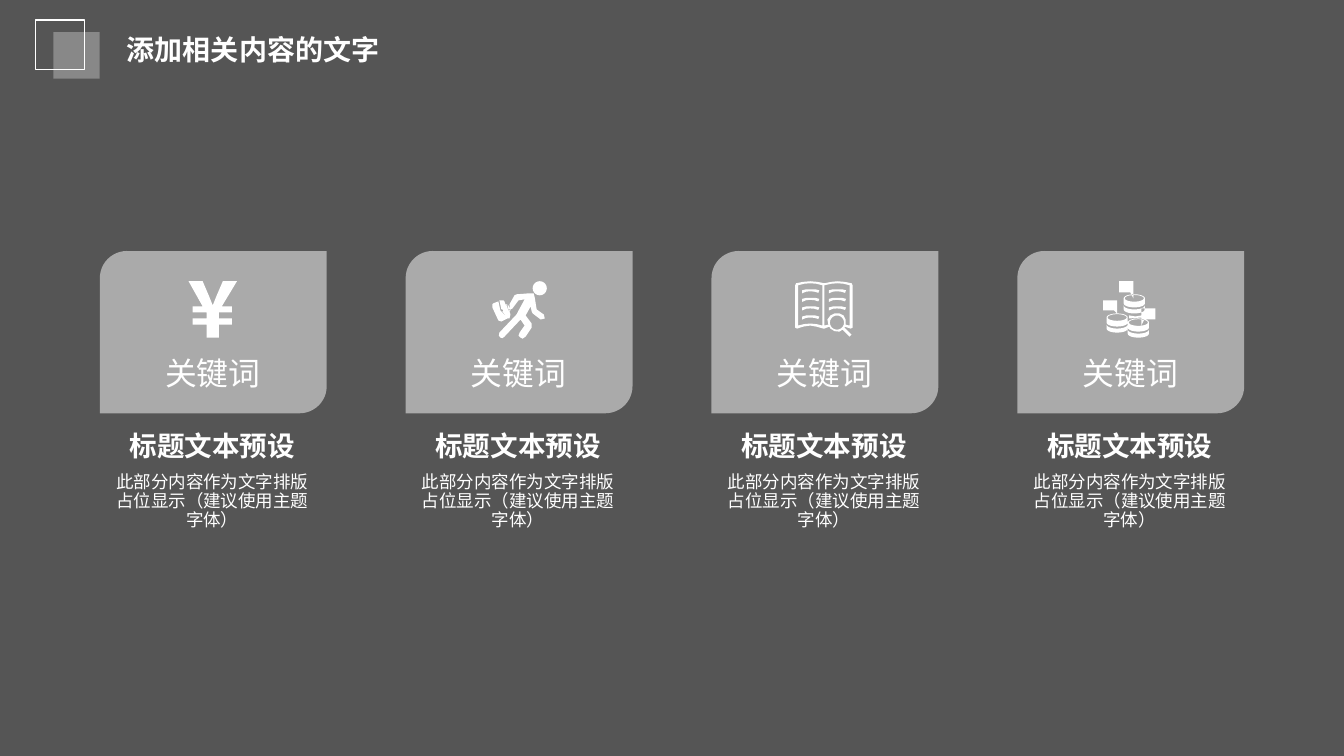
"""Build a slide with four keyword cards, each with an icon, a heading and a short text."""
from math import cos, pi, sin

from lxml.etree import SubElement
from pptx import Presentation
from pptx.dml.color import RGBColor
from pptx.enum.shapes import MSO_SHAPE
from pptx.enum.text import PP_ALIGN
from pptx.oxml.ns import qn
from pptx.util import Inches, Pt

TITLE = "添加相关内容的文字"
CARDS = [
    (icon, "关键词", "标题文本预设", "此部分内容作为文字排版占位显示（建议使用主题字体）")
    for icon in ("yen", "runner", "book", "coins")
]
COLOURS = {"veil": "0D0D0D", "white": "FFFFFF"}
FONT = "Noto Sans CJK SC"

WIDTH, HEIGHT = 13.33, 7.5
MARGIN = 0.99
CARD_WIDTH, CARD_HEIGHT, CARD_TOP = 2.25, 1.61, 2.49
PITCH = (WIDTH - 2 * MARGIN - CARD_WIDTH) / (len(CARDS) - 1)
TEXT_WIDTH = 2.23
ICON_TOP = 2.79

TITLE_FORMAT = {"size": Pt(20), "bold": True}
KEYWORD_FORMAT = {"size": Pt(22.7), "bold": False}
HEADING_FORMAT = {"size": Pt(19.7), "bold": True}
BODY_FORMAT = {"size": Pt(12.5), "bold": False}


def arc(centre_x, centre_y, radius_x, radius_y, start=0.0, sweep=2 * pi, steps=24):
    """Return points along an elliptical arc."""
    angles = [start + sweep * step / steps for step in range(steps + 1)]
    return [(centre_x + radius_x * cos(a), centre_y + radius_y * sin(a)) for a in angles]


def box_outline(left, top, right, bottom):
    """Return the corners of a rectangle."""
    return [(left, top), (right, top), (right, bottom), (left, bottom)]


def coin_stack(centre, top):
    """Return the outlines of a coin with a hollow face and a second coin below it."""
    rim = top + 4
    return [
        arc(centre, rim, 10.5, 4, pi, pi) + arc(centre, rim + 5, 10.5, 4, 0, pi),
        arc(centre, rim, 9.5, 3.3),
        arc(centre, rim + 7, 10.5, 4, pi, -pi) + arc(centre, rim + 11, 10.5, 4, 0, pi),
    ]


def text_line(left, top):
    """Return one curved line of print on a book page."""
    stroke = [(0, 1), (4, 0), (8, 0), (13, 0), (17, 1), (16, 3.5), (12, 2.3), (8, 2), (4, 2.3), (0, 4)]
    return [(left + x, top + y) for x, y in stroke]


YEN = [[
    (33, 25), (43, 25), (43, 31), (30, 31), (30, 37), (43, 37), (43, 43), (30, 43), (30, 56),
    (18, 56), (18, 43), (4, 43), (4, 37), (18, 37), (18, 31), (4, 31), (4, 25), (14, 25),
    (0, 0), (14, 0), (20, 14), (24, 24), (28, 14), (34, 0), (48, 0),
]]
RUNNER = [
    [(6, 20), (8, 29), (9, 30), (15, 37), (9, 40), (6, 39), (0, 26), (0, 23), (1, 22)],
    [(11, 19), (12, 20), (13, 23), (15, 23), (14, 24), (16, 29), (17, 29), (18, 28), (18, 29),
     (17, 30), (18, 33), (17, 37), (15, 37), (10, 30), (11, 29), (10, 28), (9, 28), (7, 19), (8, 19)],
    [(16, 24), (18, 28), (16, 28), (15, 24)],
    [(37, 12), (41, 12), (42, 16), (44, 28), (51, 33), (52, 37), (48, 38), (40, 32), (39, 30),
     (38, 25), (33, 34), (39, 42), (39, 46), (33, 55), (30, 57), (28, 56), (26, 54), (27, 51),
     (32, 44), (28, 38), (12, 55), (10, 56.5), (8, 56), (6.5, 54), (7, 51), (24, 33), (25, 31),
     (32, 18), (26, 19), (20, 27), (18, 28), (17, 23), (22, 14), (24, 13)],
    arc(47, 7, 7, 7),
]
BOOK = [
    [(15, 0), (22, 0.6), (29, 2), (36, 0.6), (42, 0), (49, 0.6), (56, 2), (57, 4), (57, 46),
     (55, 47), (49, 45), (49, 46), (56, 53), (54, 55), (47, 48), (44, 50), (39, 49.5), (35, 47),
     (34, 45), (29, 47), (28, 47), (21, 45), (15, 44), (8, 45), (2, 47), (0, 46), (0, 4), (1, 2),
     (8, 0.6)],
    [(15, 2), (9, 2.5), (3, 4), (3, 44), (9, 42.5), (15, 42), (21, 42.5), (27, 44), (27, 4), (21, 2.5)],
    [(42, 2), (36, 2.5), (29, 4), (29, 44), (33, 43), (32, 38), (35, 34), (39, 32), (41.5, 31.8),
     (44, 32), (48, 34), (50, 38), (50, 43), (54, 44), (54, 4), (48, 2.5)],
    arc(41.5, 41, 7, 7),
    *[text_line(7, top) for top in (8, 16.5, 25, 34)],
    *[text_line(33.5, top) for top in (8, 16.5, 25)],
]
COINS = [
    *coin_stack(31, 13), *coin_stack(14, 32), *coin_stack(35, 37),
    box_outline(0, 19, 14, 29), [(11, 29), (14, 29), (14, 32)],
    box_outline(16, 0, 30, 11), [(27, 11), (30, 11), (30, 17)],
    box_outline(41, 27, 52, 38), [(38, 27), (41, 27), (41, 38), (38, 44)],
    [(26, 34), (32, 35), (38, 34), (38, 36), (26, 37)],
]
ICONS = {"yen": (YEN, 0.88), "runner": (RUNNER, 0.86), "book": (BOOK, 0.83), "coins": (COINS, 0.85)}


def paint(shape, colour, opacity=100):
    """Fill a shape without a line or shadow."""
    shape.shadow.inherit = False
    shape.line.fill.background()
    shape.fill.solid()
    shape.fill.fore_color.rgb = RGBColor.from_string(COLOURS[colour])
    if opacity < 100:
        tint = shape.fill._xPr.find(qn("a:solidFill"))[0]
        SubElement(tint, qn("a:alpha"), val=str(opacity * 1000))


def add_panel(shapes, kind, area, colour, opacity):
    """Add a translucent preset shape."""
    panel = shapes.add_shape(kind, *[Inches(length) for length in area])
    paint(panel, colour, opacity)


def add_text(shapes, text, area, font_format, side=0.0, top=0.0, **paragraph_format):
    """Add a wrapped text box with one paragraph."""
    box = shapes.add_textbox(*[Inches(length) for length in area])
    frame = box.text_frame
    frame_format = {"word_wrap": True, "margin_left": Inches(side), "margin_right": Inches(side),
                    "margin_top": Inches(top), "margin_bottom": 0}
    para = frame.paragraphs[0]
    span = para.add_run()
    span.text = text
    for target, values in ((frame, frame_format), (para, paragraph_format),
                           (span.font, {"name": FONT, **font_format})):
        for name, value in values.items():
            setattr(target, name, value)
    span.font.color.rgb = RGBColor.from_string(COLOURS["white"])
    SubElement(span.font._element, qn("a:ea"), typeface=FONT)


def add_icon(shapes, outlines, left, top):
    """Draw an icon whose outlines are in hundredths of an inch."""
    placed = [[(Inches(left + x / 100), Inches(top + y / 100)) for x, y in outline]
              for outline in outlines]
    builder = shapes.build_freeform(*placed[0][0], scale=1.0)
    for number, outline in enumerate(placed):
        if number:
            builder.move_to(*outline[0])
        builder.add_line_segments(outline[1:], close=True)
    paint(builder.convert_to_shape(), "white")


def add_header(shapes):
    """Add the two overlapping squares and the slide title."""
    squares = shapes.add_group_shape().shapes
    frame = squares.add_shape(MSO_SHAPE.RECTANGLE, *[Inches(n) for n in (0.35, 0.2, 0.49, 0.49)])
    frame.shadow.inherit = False
    frame.fill.background()
    frame.line.color.rgb = RGBColor.from_string(COLOURS["white"])
    frame.line.width = Pt(1)
    add_panel(squares, MSO_SHAPE.RECTANGLE, (0.53, 0.32, 0.46, 0.46), "white", 30)
    add_text(shapes, TITLE, (1.16, 0.32, 3.84, 0.44), TITLE_FORMAT, side=0.1)


def add_card(shapes, left, icon, keyword, heading, body):
    """Add one card with the text below it."""
    card = shapes.add_group_shape().shapes
    centred = {"alignment": PP_ALIGN.CENTER}
    add_panel(card, MSO_SHAPE.ROUND_2_DIAG_RECTANGLE,
              (left, CARD_TOP, CARD_WIDTH, CARD_HEIGHT), "white", 50)
    add_text(card, keyword, (left + 0.6, 3.51, 1.04, 0.44), KEYWORD_FORMAT, **centred)
    add_text(card, heading, (left, 4.26, TEXT_WIDTH, 0.37), HEADING_FORMAT, **centred)
    add_text(card, body, (left, 4.65, TEXT_WIDTH, 0.55), BODY_FORMAT, side=0.1, top=0.05,
             line_spacing=0.9, **centred)
    outlines, offset = ICONS[icon]
    add_icon(card, outlines, left + offset, ICON_TOP)


def main():
    """Build and save the deck."""
    deck = Presentation()
    deck.slide_width, deck.slide_height = Inches(WIDTH), Inches(HEIGHT)
    page = deck.slides.add_slide(deck.slide_layouts[6])
    add_panel(page.shapes, MSO_SHAPE.RECTANGLE, (0, 0, WIDTH, HEIGHT), "veil", 70)
    add_header(page.shapes)
    for column, card in enumerate(CARDS):
        add_card(page.shapes, MARGIN + column * PITCH, *card)
    deck.save("out.pptx")


if __name__ == "__main__":
    main()
